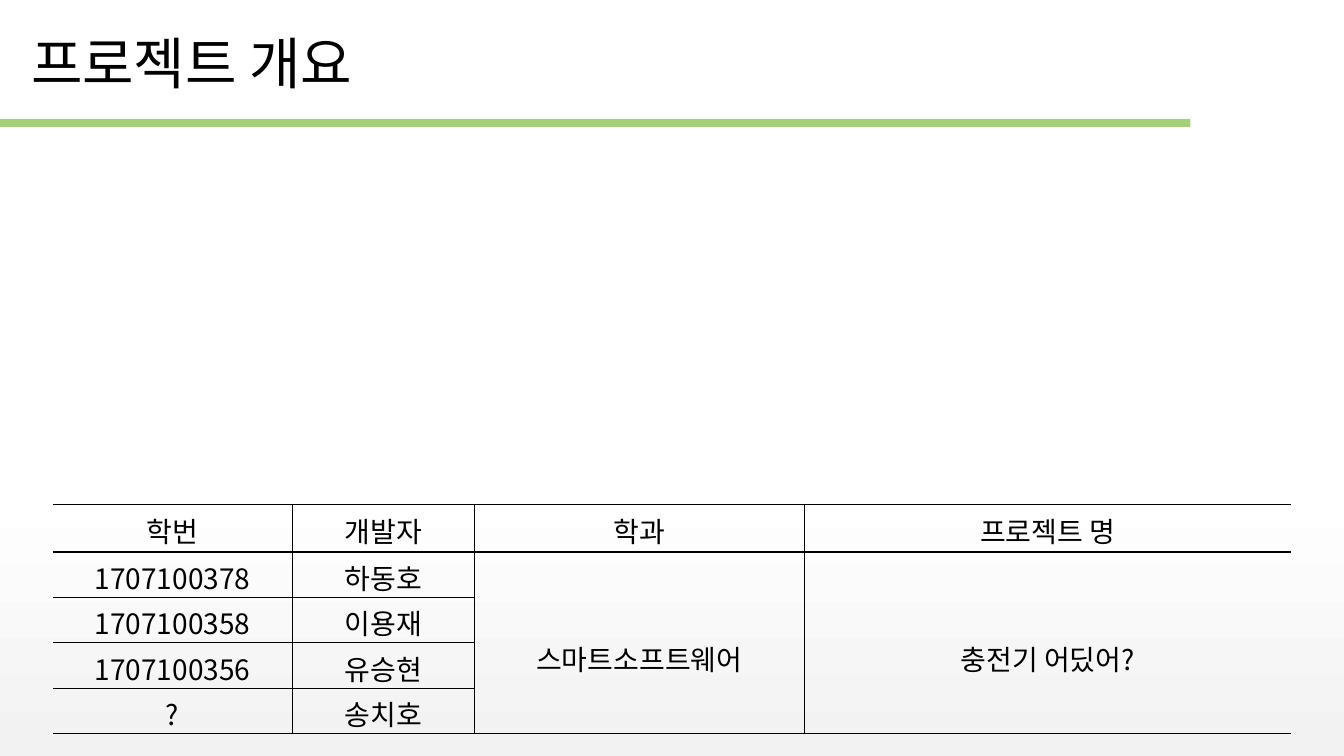
"""Build the project overview slide with its team table."""
from lxml import etree
from pptx import Presentation, util as u
from pptx.dml.color import RGBColor
from pptx.enum import shapes, text
from pptx.oxml import ns

FONT = "Noto Sans CJK KR"


def paint(color_format, value):
    color_format.rgb = RGBColor.from_string(value)


def style_paragraph(para, size):
    para.font.size = u.Pt(size)
    para.font.name = FONT
    paint(para.font.color, "000000")
    properties = para.runs[0].font._element
    etree.SubElement(properties, ns.qn("a:ea"), typeface=FONT)


deck = Presentation()
deck.slide_width, deck.slide_height = u.Cm(33.87), u.Cm(19.05)
page = deck.slides.add_slide(deck.slide_layouts[5])

backdrop = page.background.fill
backdrop.gradient()
backdrop.gradient_angle = 270
for stop, (position, value) in zip(backdrop.gradient_stops, [(0.65, "FFFFFF"), (0.99, "F2F2F2")]):
    stop.position = position
    paint(stop.color, value)

bar = page.shapes.add_shape(shapes.MSO_SHAPE.RECTANGLE, 0, u.Cm(3), u.Cm(30), u.Cm(0.2))
bar.shadow.inherit = False
bar.fill.solid()
paint(bar.fill.fore_color, "A5D07A")
bar.line.fill.background()

title = page.shapes.title
title.left, title.top, title.width, title.height = u.Cm(0.53), u.Cm(0.58), u.Cm(29.46), u.Cm(1.96)
title.text_frame.text = "프로젝트 개요"
title.text_frame.vertical_anchor = text.MSO_ANCHOR.MIDDLE
title.text_frame.paragraphs[0].alignment = text.PP_ALIGN.LEFT
style_paragraph(title.text_frame.paragraphs[0], 40)

rows = [
    ["학번", "개발자", "학과", "프로젝트 명"],
    ["1707100378", "하동호", "스마트소프트웨어", "충전기 어딨어?"],
    ["1707100358", "이용재", "", ""],
    ["1707100356", "유승현", "", ""],
    ["?", "송치호", "", ""],
]
widths = [6.04, 4.58, 8.32, 12.27]
heights = [1.19] + [1.1] * 4

frame = page.shapes.add_table(len(rows), len(widths), u.Cm(1.33), u.Cm(12.72),
                              u.Cm(sum(widths)), u.Cm(sum(heights)))
team = frame.table
team.first_row = team.horz_banding = False
for column, width in zip(team.columns, widths):
    column.width = u.Cm(width)
for row, height in zip(team.rows, heights):
    row.height = u.Cm(height)
for column in (2, 3):
    team.cell(1, column).merge(team.cell(4, column))

last = len(widths) - 1
for r, row in enumerate(rows):
    for c, label in enumerate(row):
        cell = team.cell(r, c)
        cell.margin_top = u.Cm(2.17 if cell.is_merge_origin else 0.12)
        cell.margin_bottom = 0
        if label:
            cell.text = label
            para = cell.text_frame.paragraphs[0]
            para.alignment = text.PP_ALIGN.CENTER
            style_paragraph(para, 20)
        borders = cell._tc.get_or_add_tcPr()
        for side, visible in [("L", c > 0), ("R", c < last), ("T", True), ("B", True)]:
            edge = etree.SubElement(borders, ns.qn(f"a:ln{side}"), w=str(u.Pt(1)))
            if visible:
                ink = etree.SubElement(edge, ns.qn("a:solidFill"))
                etree.SubElement(ink, ns.qn("a:srgbClr"), val="000000")
            else:
                etree.SubElement(edge, ns.qn("a:noFill"))
        cell.fill.background()

deck.save("out.pptx")
